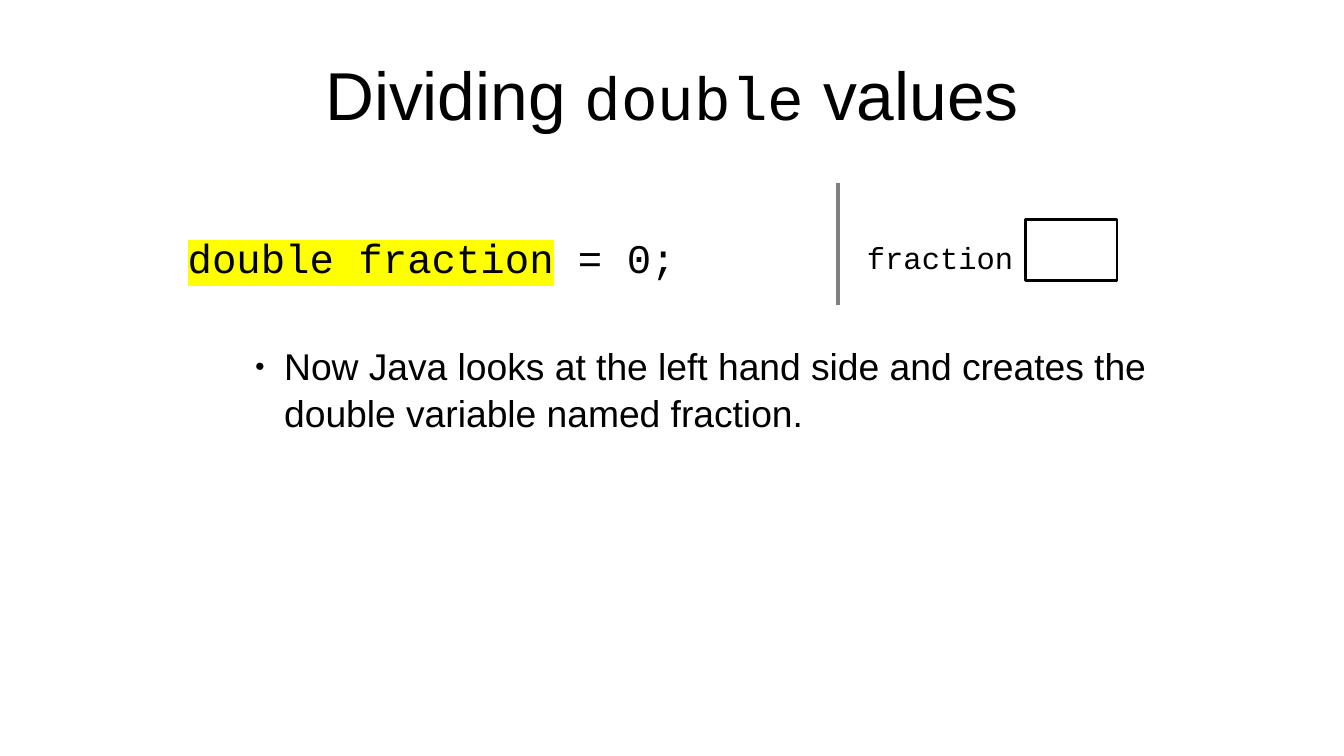
from lxml.etree import SubElement
from pptx import Presentation
from pptx.dml.color import RGBColor
from pptx.enum.shapes import MSO_CONNECTOR as Connector, MSO_SHAPE as Preset
from pptx.enum.text import MSO_ANCHOR as Anchor, MSO_AUTO_SIZE as AutoSize, PP_ALIGN as Align
from pptx.oxml.ns import qn
from pptx.util import Inches, Pt

BLACK = RGBColor(0x00, 0x00, 0x00)
WHITE = RGBColor(0xFF, 0xFF, 0xFF)
GRAY = RGBColor(0x80, 0x80, 0x80)
YELLOW = RGBColor(0xFF, 0xFF, 0x00)
SANS, MONO = "Arial", "Courier New"


class LessonSlide:
    """Style and drawing methods for the current slide."""

    def __init__(self, deck):
        self.page = deck.slides.add_slide(deck.slide_layouts[1])

    def place(self, shape, left, top, width, height):
        shape.left, shape.top = Inches(left), Inches(top)
        shape.width, shape.height = Inches(width), Inches(height)

    def add_spans(self, para, spans):
        for text, font, size, highlight in spans:
            span = para.add_run()
            span.text = text
            span.font.name, span.font.size = font, Pt(size)
            span.font.color.rgb = BLACK
            if highlight is not None:
                mark = SubElement(span.font._element, qn("a:highlight"))
                SubElement(mark, qn("a:srgbClr"), val=str(highlight))
                span.font._element.find(qn("a:solidFill")).addnext(mark)

    def title(self, spans, *bounds):
        box = self.page.shapes.title
        self.place(box, *bounds)
        frame = box.text_frame
        frame.auto_size = AutoSize.NONE
        frame.vertical_anchor = Anchor.MIDDLE
        frame.margin_left = frame.margin_right = 0
        frame.margin_top = frame.margin_bottom = 0
        para = frame.paragraphs[0]
        para.alignment = Align.CENTER
        self.add_spans(para, spans)

    def bullet(self, spans, *bounds):
        box = self.page.placeholders[1]
        self.place(box, *bounds)
        box.text_frame.auto_size = AutoSize.NONE
        para = box.text_frame.paragraphs[0]
        para.space_before = Pt(0)
        para.line_spacing = 1.05
        self.add_spans(para, spans)
        style = para._p.get_or_add_pPr()
        style.set("marL", str(Inches(0.24)))
        style.set("indent", str(-Inches(0.24)))
        color = SubElement(style, qn("a:buClr"))
        SubElement(color, qn("a:srgbClr"), val=str(BLACK))
        SubElement(style, qn("a:buSzPct"), val="45000")
        SubElement(style, qn("a:buFont"), typeface=SANS)
        SubElement(style, qn("a:buChar"), char="●")

    def code(self, spans, *bounds):
        box = self.page.shapes.add_textbox(0, 0, 0, 0)
        self.place(box, *bounds)
        box.text_frame.word_wrap = True
        para = box.text_frame.paragraphs[0]
        para.line_spacing = 1.15
        self.add_spans(para, spans)

    def divider(self, x, top, bottom):
        line = self.page.shapes.add_connector(
            Connector.STRAIGHT, Inches(x), Inches(top), Inches(x), Inches(bottom))
        line.line.color.rgb = GRAY
        line.line.width = Pt(0)
        SubElement(line._element.spPr, qn("a:effectLst"))

    def memory_cell(self, *bounds):
        cell = self.page.shapes.add_shape(Preset.RECTANGLE, 0, 0, 0, 0)
        self.place(cell, *bounds)
        cell.shadow.inherit = False
        cell.fill.solid()
        cell.fill.fore_color.rgb = WHITE
        cell.line.color.rgb = BLACK
        cell.line.width = Pt(1.5)


def main():
    deck = Presentation()
    deck.slide_width, deck.slide_height = Inches(11.02), Inches(6.2)
    lesson = LessonSlide(deck)

    # Title
    lesson.title([("Dividing ", SANS, 40, None), ("double", MONO, 36, None),
                  (" values", SANS, 40, None)], 0.55, 0.25, 9.92, 1.04)

    # Statement and explanation
    lesson.code([("double fraction", MONO, 24, YELLOW), (" = 0;", MONO, 24, WHITE)],
                1.44, 1.8, 4.25, 0.48)
    lesson.bullet([("Now Java looks at the left hand side and creates the "
                    "double variable named fraction.", SANS, 22, None)],
                  1.99, 2.75, 7.76, 0.81)

    # Variable in memory
    lesson.divider(6.87, 1.5, 2.5)
    lesson.memory_cell(8.41, 1.8, 0.75, 0.5)
    lesson.code([("fraction", MONO, 18, None)], 7.01, 1.87, 1.4, 0.38)

    deck.save("out.pptx")


if __name__ == "__main__":
    main()
